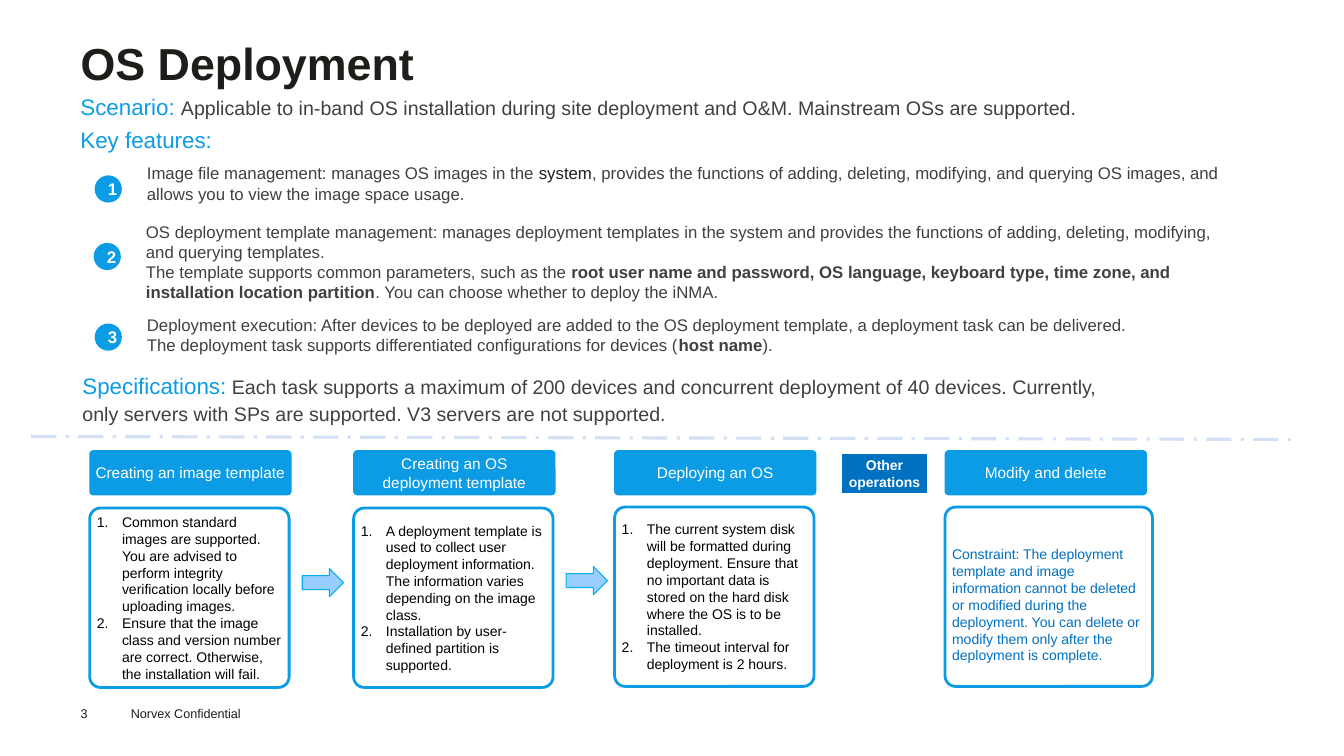
from lxml import etree
from pptx import Presentation
from pptx.dml.color import RGBColor
from pptx.enum.dml import MSO_LINE
from pptx.enum.shapes import MSO_CONNECTOR, MSO_SHAPE
from pptx.enum.text import MSO_ANCHOR, PP_ALIGN
from pptx.oxml.ns import qn
from pptx.util import Inches, Pt

BLUE = RGBColor(0x0B, 0x9C, 0xE5)
DARK_BLUE = RGBColor(0x00, 0x70, 0xC0)
ARROW_FILL = RGBColor(0x99, 0xCC, 0xFF)
ARROW_LINE = RGBColor(0x00, 0xB0, 0xF0)
DIVIDER = RGBColor(0xD4, 0xE0, 0xF4)
GREY = RGBColor(0x40, 0x40, 0x40)
INK = RGBColor(0x1D, 0x1D, 0x1A)
BLACK = RGBColor(0, 0, 0)
WHITE = RGBColor(0xFF, 0xFF, 0xFF)

HEAD = (16, BLUE, False)
LEAD = (14, GREY, False)
BODY = (12, GREY, False)
BODY_INK = (12, INK, False)
BOLD = (12, GREY, True)
TITLE = (32, INK, True)
FOOT = (9, INK, False)
NUMBER = (12, WHITE, True)
STEP = (11, WHITE, False)
DETAIL = (10, BLACK, False)
NOTE = (10, DARK_BLUE, False)
LABEL = (10, WHITE, True)

SECTIONS = [
    ((0.7, 0.85, 10.61, 0.48), [
        ("Scenario: ", HEAD),
        ("Applicable to in-band OS installation during site deployment and O&M. "
         "Mainstream OSs are supported.", LEAD)]),
    ((0.7, 1.18, 12.39, 2.66), [("Key features:", HEAD)]),
    ((0.72, 3.62, 10.36, 0.48), [
        ("Specifications:", HEAD),
        (" Each task supports a maximum of 200 devices and concurrent deployment of "
         "40 devices. Currently, only servers with SPs are supported. V3 servers are "
         "not supported.", LEAD)]),
]
FEATURES = [
    ((0.94, 1.74), (1.36, 1.57, 10.9, 0.57), [
        [("Image file management: manages OS images in the ", BODY),
         ("system", BODY_INK),
         (", provides the functions of adding, deleting, modifying, and querying OS "
          "images, and allows you to view the image space usage.", BODY)]]),
    ((0.93, 2.41), (1.35, 2.15, 11.04, 0.57), [
        [("OS deployment template management: manages deployment templates in the "
          "system and provides the functions of adding, deleting, modifying, and "
          "querying templates.", BODY)],
        [("The template supports common parameters, such as the ", BODY),
         ("root user name and password, OS language, keyboard type, time zone, and "
          "installation location partition", BOLD),
         (". You can choose whether to deploy the iNMA.", BODY)]]),
    ((0.94, 3.21), (1.36, 3.07, 10.04, 0.57), [
        [("Deployment execution: After devices to be deployed are added to the OS "
          "deployment template, a deployment task can be delivered.", BODY)],
        [("The deployment task supports differentiated configurations for devices (", BODY),
         ("host name", BOLD), (").", BODY)]]),
]
STEPS = [
    (0.9, "Creating an image template", (0.89, 5.04, 1.98), DETAIL, [
        "Common standard images are supported. You are advised to perform integrity "
        "verification locally before uploading images.",
        "Ensure that the image class and version number are correct. Otherwise, the "
        "installation will fail."]),
    (3.52, "Creating an OS deployment template", (3.51, 5.04, 1.98), DETAIL, [
        "A deployment template is used to collect user deployment information. The "
        "information varies depending on the image class.",
        "Installation by user-defined partition is supported."]),
    (6.11, "Deploying an OS", (6.1, 5.03, 1.98), DETAIL, [
        "The current system disk will be formatted during deployment. Ensure that no "
        "important data is stored on the hard disk where the OS is to be installed.",
        "The timeout interval for deployment is 2 hours."]),
    (9.39, "Modify and delete", (9.38, 5.03, 2.06), NOTE, [
        "Constraint: The deployment template and image information cannot be deleted "
        "or modified during the deployment. You can delete or modify them only after "
        "the deployment is complete."]),
]
ARROWS = [(3, 5.64), (5.62, 5.62)]
TEXT_INSETS = (0.1, 0.05, 0.1, 0.05)
TIGHT = (0.04,) * 4
NOTE_INSETS = (0.04, 0.2, 0.04, 0.04)
NO_INSETS = (0,) * 4

prs = Presentation()
prs.slide_width, prs.slide_height = Inches(13.34), Inches(7.5)
s = prs.slides.add_slide(prs.slide_layouts[6])


def write(sp, paragraphs, insets, align=PP_ALIGN.LEFT, anchor=MSO_ANCHOR.TOP,
          spacing=None, after=0):
    tf = sp.text_frame
    tf.word_wrap = True
    tf.vertical_anchor = anchor
    tf.margin_left, tf.margin_top, tf.margin_right, tf.margin_bottom = map(Inches, insets)
    for i, runs in enumerate(paragraphs):
        p = tf.add_paragraph() if i else tf.paragraphs[0]
        p.alignment = align
        p.space_after = Pt(after)
        if spacing:
            p.line_spacing = spacing
        for words, (size, color, bold) in runs:
            r = p.add_run()
            r.text = words
            r.font.name, r.font.size, r.font.bold = "Arial", Pt(size), bold
            r.font.color.rgb = color


def add_text(box, paragraphs, insets=TEXT_INSETS, **style):
    write(s.shapes.add_textbox(*map(Inches, box)), paragraphs, insets, **style)


def add_box(kind, box, fill=None, line=None, width=2):
    sp = s.shapes.add_shape(kind, *map(Inches, box))
    sp.shadow.inherit = False
    if fill is None:
        sp.fill.background()
    else:
        sp.fill.solid()
        sp.fill.fore_color.rgb = fill
    if line is None:
        sp.line.fill.background()
    else:
        sp.line.color.rgb = line
        sp.line.width = Pt(width)
    if kind == MSO_SHAPE.ROUNDED_RECTANGLE:
        sp.adjustments[0] = 0.06
    return sp


def number_list(sp):
    for p in sp.text_frame.paragraphs:
        pPr = p._p.get_or_add_pPr()
        pPr.set("marL", str(Inches(0.25)))
        pPr.set("indent", str(Inches(-0.25)))
        etree.SubElement(pPr, qn("a:buAutoNum"), type="arabicPeriod")


add_text((1.2, 6.95, 1.6, 0.25), [[("Norvex Confidential", FOOT)]])
add_text((0.8, 7, 0.55, 0.15), [[("3", FOOT)]], NO_INSETS)
add_text((0.8, 0.3, 11.75, 1.09), [[("OS Deployment", TITLE)]], NO_INSETS, spacing=1.1)

divider = s.shapes.add_connector(
    MSO_CONNECTOR.STRAIGHT, *map(Inches, (0.31, 4.33, 12.91, 4.36)))
divider.line.color.rgb = DIVIDER
divider.line.width = Pt(2.25)
divider.line.dash_style = MSO_LINE.LONG_DASH_DOT
etree.SubElement(divider._element.spPr, qn("a:effectLst"))

for box, runs in SECTIONS:
    add_text(box, [runs], spacing=1.1, after=6)

for n, (spot, box, paragraphs) in enumerate(FEATURES, 1):
    badge = add_box(MSO_SHAPE.OVAL, (*spot, 0.27, 0.27), BLUE)
    write(badge, [[(str(n), NUMBER)]], TEXT_INSETS, PP_ALIGN.CENTER, MSO_ANCHOR.MIDDLE)
    add_text(box, paragraphs)

for x, heading, (left, top, width), style, details in STEPS:
    head = add_box(MSO_SHAPE.ROUNDED_RECTANGLE, (x, 4.48, 1.98, 0.42), BLUE, BLUE)
    write(head, [[(heading, STEP)]], TIGHT, PP_ALIGN.CENTER, MSO_ANCHOR.MIDDLE)
    panel = add_box(MSO_SHAPE.ROUNDED_RECTANGLE, (left, top, width, 1.78), line=BLUE)
    write(panel, [[(d, style)] for d in details],
          NOTE_INSETS if style is NOTE else TIGHT, anchor=MSO_ANCHOR.MIDDLE)
    if style is DETAIL:
        number_list(panel)

for spot in ARROWS:
    add_box(MSO_SHAPE.RIGHT_ARROW, (*spot, 0.41, 0.28), ARROW_FILL, ARROW_LINE, 0.75)

other = add_box(MSO_SHAPE.RECTANGLE, (8.36, 4.51, 0.84, 0.38), DARK_BLUE, DARK_BLUE, 0.75)
write(other, [[("Other operations", LABEL)]], TIGHT, PP_ALIGN.CENTER, MSO_ANCHOR.MIDDLE)

prs.save("out.pptx")
